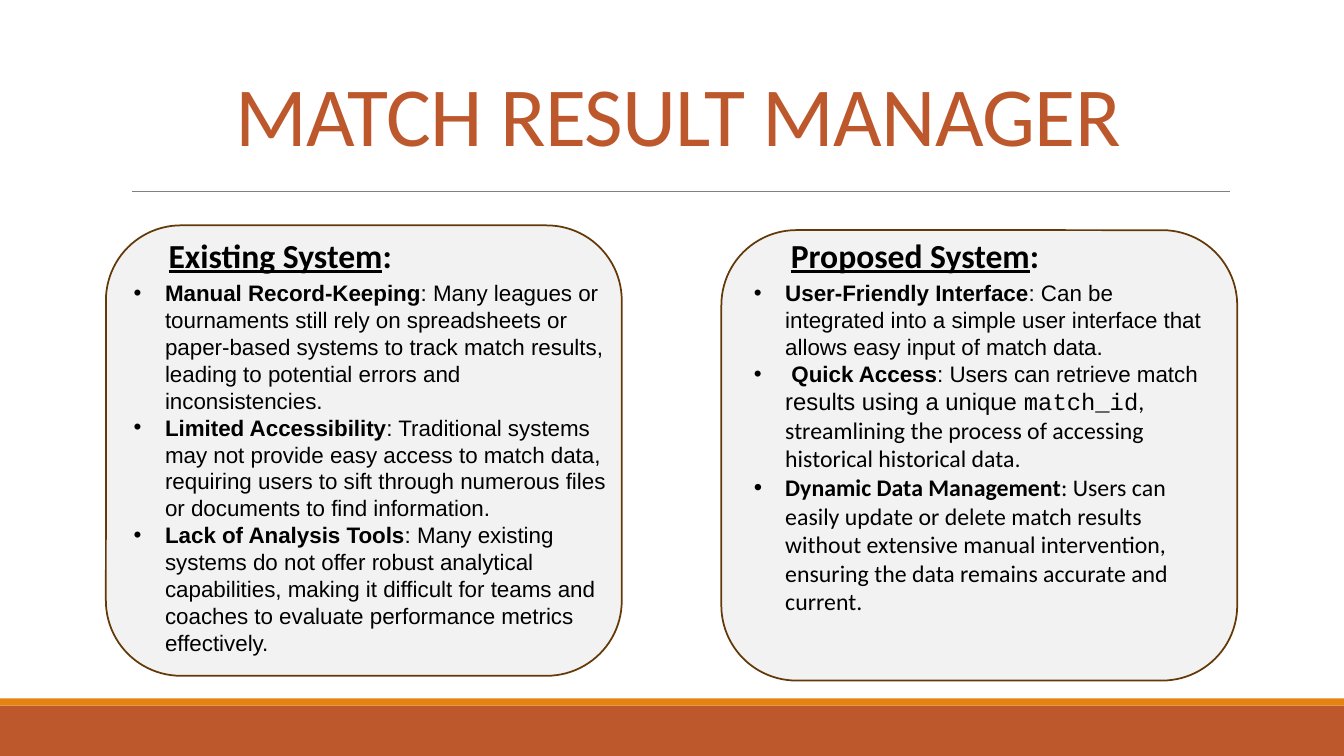
import pptx
import pptx.util
import pptx.dml.color
import pptx.enum.shapes
import pptx.enum.text
import pptx.oxml
import lxml.etree

Cm, Pt = pptx.util.Cm, pptx.util.Pt
SHAPE = pptx.enum.shapes.MSO_SHAPE
ANCHOR = pptx.enum.text.MSO_ANCHOR
ALIGN = pptx.enum.text.PP_ALIGN
A = "http://schemas.openxmlformats.org/drawingml/2006/main"

RUST, ORANGE, GREY, PANEL, BROWN, BLACK = (
    "BD582C", "E48312", "808080", "F2F2F2", "643908", "000000")
WIDTH, HEIGHT = 33.87, 19.05

ARIAL = {"name": "Arial", "size": Pt(16)}
ARIAL_17 = {"name": "Arial", "size": Pt(17)}
CODE = {"name": "Courier New", "size": Pt(17)}
CALIBRI = {"name": "Calibri", "size": Pt(17)}
HEADING = {"name": "Calibri", "size": Pt(24), "bold": True}
TITLE = {"name": "Calibri", "size": Pt(60)}
BOLD = {"bold": True}

EXISTING = [
    [("Manual Record-Keeping", ARIAL | BOLD),
     (": Many leagues or tournaments still rely on spreadsheets or paper-based "
      "systems to track match results, leading to potential errors and "
      "inconsistencies.", ARIAL)],
    [("Limited Accessibility", ARIAL | BOLD),
     (": Traditional systems may not provide easy access to match data, requiring "
      "users to sift through numerous files or documents to find information.", ARIAL)],
    [("Lack of Analysis Tools", ARIAL | BOLD),
     (": Many existing systems do not offer robust analytical capabilities, making "
      "it difficult for teams and coaches to evaluate performance metrics "
      "effectively.", ARIAL)],
]
PROPOSED = [
    [("User-Friendly Interface", ARIAL | BOLD),
     (": Can be integrated into a simple user interface that allows easy input of "
      "match data.", ARIAL)],
    [(" Quick Access", ARIAL | BOLD),
     (": Users can retrieve match ", ARIAL),
     ("results using a unique ", ARIAL_17),
     ("match_id", CODE),
     (", streamlining the process of accessing historical historical data", CALIBRI),
     (".", CALIBRI | {"size": Pt(16)})],
    [("Dynamic Data Management", CALIBRI | BOLD),
     (": Users can easily update or delete match results without extensive manual "
      "intervention, ensuring the data remains accurate and current.", CALIBRI)],
]


def rgb(value):
    return pptx.dml.color.RGBColor.from_string(value)


def add_box(s, kind, box, fill, line=None):
    sp = s.shapes.add_shape(kind, *map(Cm, box))
    sp.shadow.inherit = False
    sp.fill.solid()
    sp.fill.fore_color.rgb = rgb(fill)
    if line:
        sp.line.color.rgb = rgb(line)
        sp.line.width = Pt(1.25)
    else:
        sp.line.fill.background()


def add_rule(s, x1, x2, y):
    line = s.shapes.add_connector(
        pptx.enum.shapes.MSO_CONNECTOR.STRAIGHT, Cm(x1), Cm(y), Cm(x2), Cm(y))
    line.line.color.rgb = rgb(GREY)
    line.line.width = Pt(0.5)
    lxml.etree.SubElement(line._element.spPr, f"{{{A}}}effectLst")


def add_run(p, text, font, color=BLACK):
    r = p.add_run()
    r.text = text
    for key, value in font.items():
        setattr(r.font, key, value)
    r.font.color.rgb = rgb(color)
    return r


def add_text(s, box, anchor=ANCHOR.TOP):
    tf = s.shapes.add_textbox(*map(Cm, box)).text_frame
    tf.word_wrap = True
    tf.vertical_anchor = anchor
    return tf


def add_title(s, text):
    p = add_text(s, (3.12, 0.2, 27.94, 4.04), ANCHOR.BOTTOM).paragraphs[0]
    p.alignment = ALIGN.CENTER
    p.line_spacing = 0.85
    r = add_run(p, text, TITLE, RUST)
    r.font._element.set("spc", "-50")


def set_bullet(p):
    pPr = p._p.get_or_add_pPr()
    pPr.set("marL", str(Cm(0.79)))
    pPr.set("indent", str(-Cm(0.79)))
    pPr.append(pptx.oxml.parse_xml(f'<a:buFont xmlns:a="{A}" typeface="Arial"/>'))
    pPr.append(pptx.oxml.parse_xml(f'<a:buChar xmlns:a="{A}" char="•"/>'))


def add_bullets(s, box, items):
    tf = add_text(s, box)
    for i, item in enumerate(items):
        p = tf.add_paragraph() if i else tf.paragraphs[0]
        set_bullet(p)
        for text, font in item:
            add_run(p, text, font)


def add_heading(s, x, text):
    p = add_text(s, (x, 5.79, 10, 1.27)).paragraphs[0]
    add_run(p, text, HEADING | {"underline": True})
    add_run(p, ":", HEADING)


def add_panel(s, left, top, heading, heading_x, body, items):
    """Draw a rounded card with its heading; body is the left and width of the list."""
    add_box(s, SHAPE.ROUNDED_RECTANGLE, (left, top, 13, 11.35), PANEL, BROWN)
    add_heading(s, heading_x, heading)
    x, width = body
    add_bullets(s, (x, 6.92, width, 9.7), items)


def main():
    prs = pptx.Presentation()
    prs.slide_width, prs.slide_height = Cm(WIDTH), Cm(HEIGHT)
    s = prs.slides.add_slide(prs.slide_layouts[6])
    add_box(s, SHAPE.RECTANGLE, (0, 17.78, WIDTH, 1.27), RUST)
    add_box(s, SHAPE.RECTANGLE, (0, 17.6, WIDTH, 0.18), ORANGE)
    add_rule(s, 3.33, 31, 4.82)
    add_title(s, "MATCH RESULT MANAGER")
    add_panel(s, 2.67, 5.68, "Existing System", 4, (3.12, 12.4), EXISTING)
    add_panel(s, 18.18, 5.8, "Proposed System", 19.68, (18.75, 11.86), PROPOSED)
    prs.save("out.pptx")


if __name__ == "__main__":
    main()
